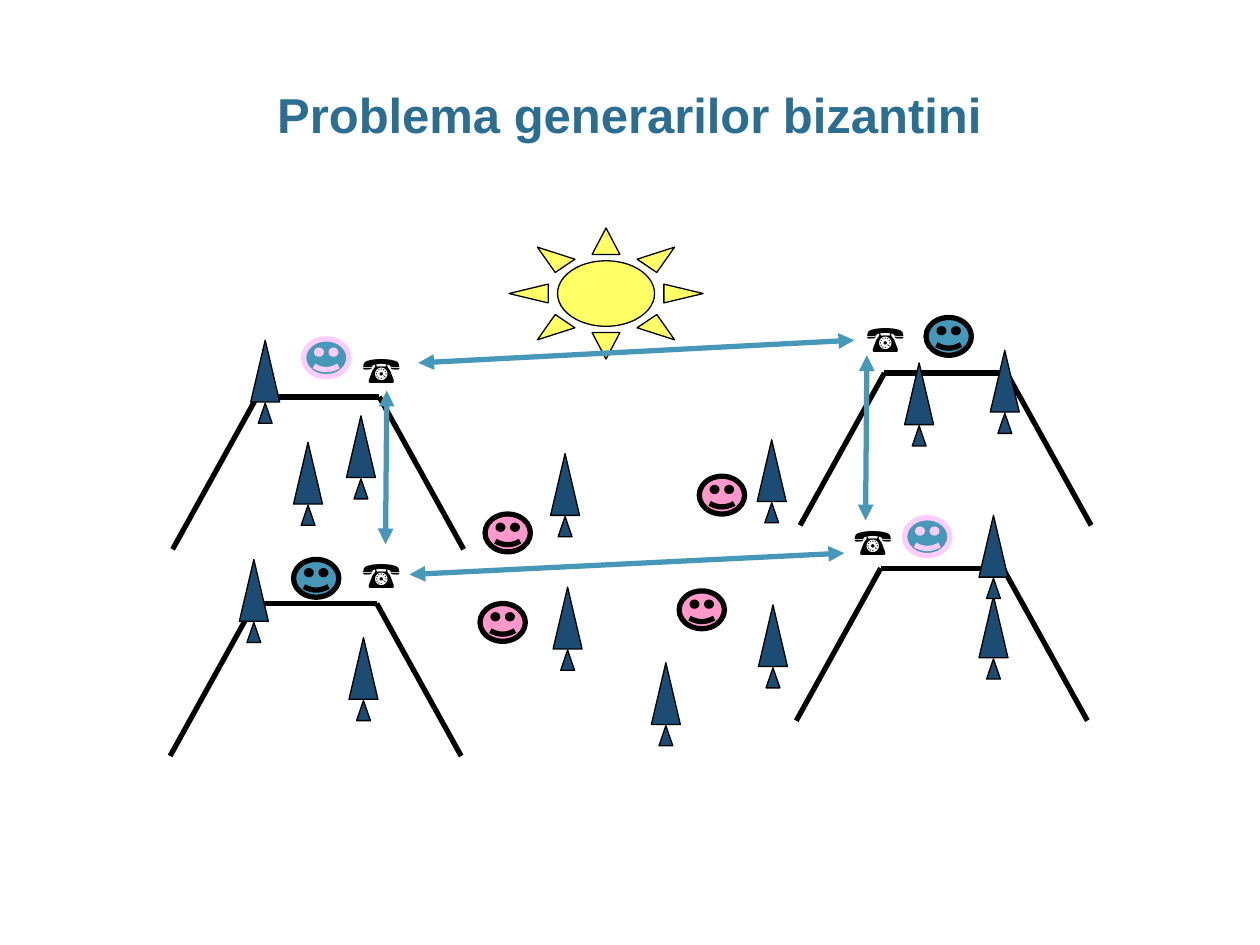
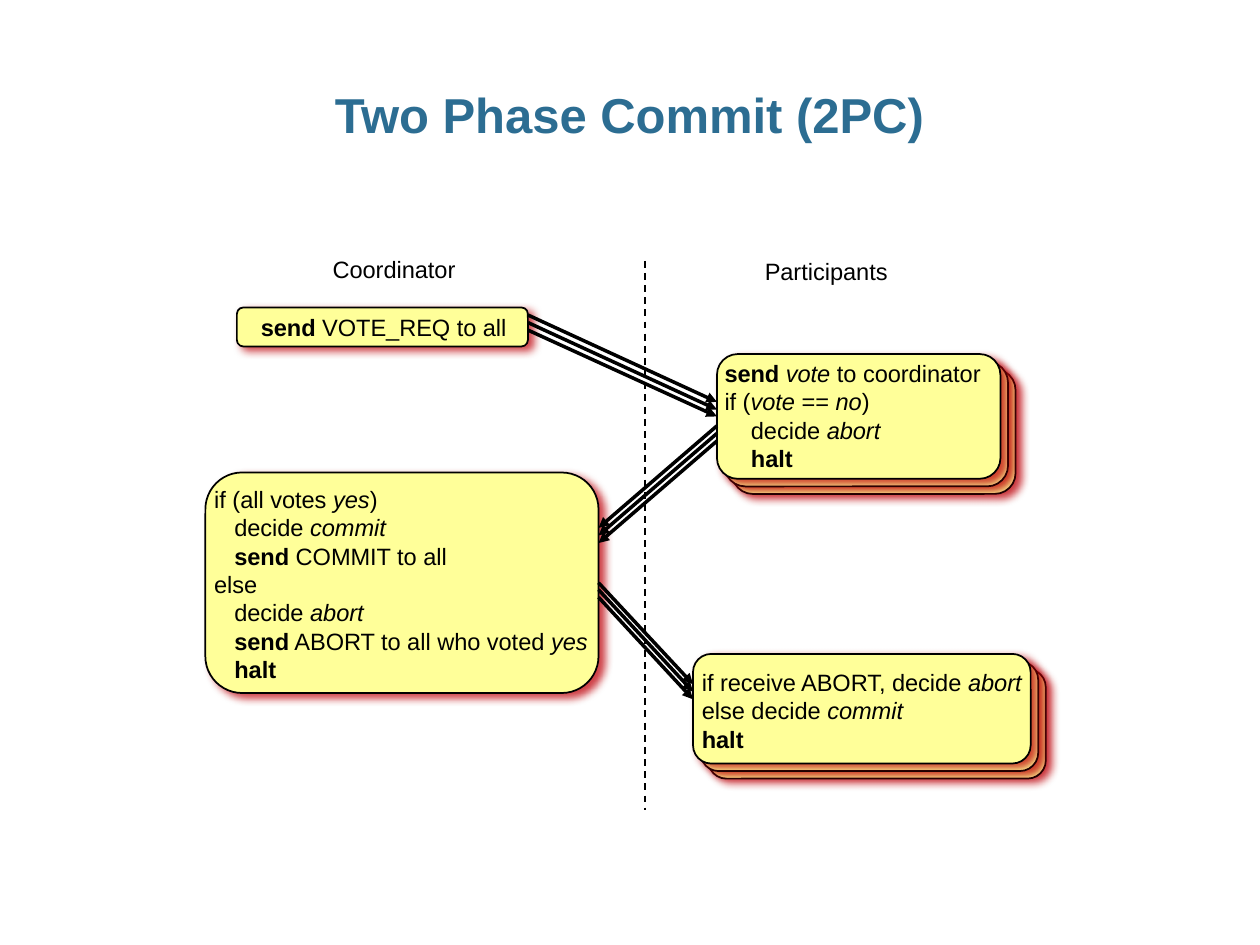
import pptx
import pptx.util
import pptx.dml.color
import pptx.enum.dml
import pptx.enum.shapes
import pptx.enum.text
import pptx.oxml.ns
from lxml import etree

Inches = pptx.util.Inches
Pt = pptx.util.Pt
Shape = pptx.enum.shapes.MSO_SHAPE
qn = pptx.oxml.ns.qn

BLACK = "000000"
TITLE_BLUE = "2C6D92"
SKY_BLUE = "4797B9"
TREE_BLUE = "1C4C74"
LILAC = "FFCCFF"
PINK = "FF99CC"
SUN_YELLOW = "FFFF66"
BOX_YELLOW = "FFFF99"
SHADOW_RED = "BE0009"


def paint(fill, colour):
    fill.solid()
    fill.fore_color.rgb = pptx.dml.color.RGBColor.from_string(colour)


def draw_line(page, start, end, colour, width, ends=(), dash=None):
    points = [Inches(value) for value in (*start, *end)]
    line = page.shapes.add_connector(pptx.enum.shapes.MSO_CONNECTOR.STRAIGHT, *points)
    paint(line.line.fill, colour)
    line.line.width = Pt(width)
    if dash:
        line.line.dash_style = dash
    properties = line._element.spPr
    for end_name in ends:
        etree.SubElement(properties.find(qn("a:ln")), qn(end_name), type="triangle")
    etree.SubElement(properties, qn("a:effectLst"))
    return line


deck = pptx.Presentation()
deck.slide_width, deck.slide_height = Inches(10), Inches(7.5)

# Pages and their titles
pages = []
for heading in ("Problema generarilor bizantini", "Two Phase Commit (2PC)"):
    page = deck.slides.add_slide(deck.slide_layouts[5])
    title = page.shapes.title
    title.left, title.top = Inches(0.34), Inches(0.68)
    title.width, title.height = Inches(9.31), Inches(0.5)
    frame = title.text_frame
    frame.auto_size = pptx.enum.text.MSO_AUTO_SIZE.NONE
    frame.margin_left = frame.margin_right = 0
    para = frame.paragraphs[0]
    para.alignment = pptx.enum.text.PP_ALIGN.CENTER
    para.line_spacing = 0.95
    span = para.add_run()
    span.text = heading
    span.font.name, span.font.size, span.font.bold = "Arial", Pt(28), True
    paint(span.font.fill, TITLE_BLUE)
    pages.append(page)
battlefield, protocol = pages

# Hills: a flat top with a slope on each side
for left, top in ((6.99, 4.51), (7.02, 2.96), (2.02, 4.79), (2.04, 3.15)):
    right, foot = left + 0.97, top + 1.21
    draw_line(battlefield, (left, top), (right, top), BLACK, 3)
    draw_line(battlefield, (right, top), (right + 0.67, foot), BLACK, 3)
    draw_line(battlefield, (left, top), (left - 0.67, foot), BLACK, 3)

# Generals, soldiers, sun and trees
figures = []
for left, top, fill, outline in (
    (2.41, 2.69, SKY_BLUE, LILAC),
    (2.33, 4.44, SKY_BLUE, BLACK),
    (7.35, 2.52, SKY_BLUE, BLACK),
    (7.18, 4.11, SKY_BLUE, LILAC),
    (5.55, 3.78, PINK, BLACK),
    (3.81, 4.79, PINK, BLACK),
    (5.39, 4.69, PINK, BLACK),
    (3.85, 4.08, PINK, BLACK),
):
    figures.append((Shape.SMILEY_FACE, left, top, 0.36, 0.3, fill, outline, 3))
figures.append((Shape.SUN, 4.04, 1.81, 1.54, 1.04, SUN_YELLOW, BLACK, 0.75))
for left, top in (
    (7.86, 2.78), (7.18, 2.88), (6.01, 3.49), (7.77, 4.73), (4.37, 3.6),
    (2.77, 5.06), (7.77, 4.09), (6.02, 4.8), (4.39, 4.66), (1.9, 4.44),
    (2.33, 3.51), (5.17, 5.26), (1.99, 2.7), (2.75, 3.3),
):
    for part_left, part_top, width, height in (
        (left, top, 0.23, 0.49),
        (left + 0.06, top + 0.5, 0.11, 0.16),
    ):
        figures.append((Shape.ISOSCELES_TRIANGLE, part_left, part_top, width, height,
                        TREE_BLUE, BLACK, 0.75))
for kind, left, top, width, height, fill, outline, weight in figures:
    figure = battlefield.shapes.add_shape(
        kind, Inches(left), Inches(top), Inches(width), Inches(height))
    figure.shadow.inherit = False
    paint(figure.fill, fill)
    paint(figure.line.fill, outline)
    figure.line.width = Pt(weight)

# Telephones
for left, top in ((2.78, 2.7), (6.78, 2.46), (6.68, 4.07), (2.78, 4.33)):
    box = battlefield.shapes.add_textbox(
        Inches(left), Inches(top), Inches(0.52), Inches(0.45))
    box.text_frame.word_wrap = False
    span = box.text_frame.paragraphs[0].add_run()
    span.text = "☎"
    span.font.name, span.font.size = "Times New Roman", Pt(21)
    paint(span.font.fill, BLACK)

# Calls between the generals
for start, end in (
    ((3.32, 2.88), (6.78, 2.7)),
    ((3.25, 4.56), (6.7, 4.39)),
    ((3.07, 3.1), (3.06, 4.32)),
    ((6.88, 2.82), (6.87, 4.13)),
):
    draw_line(battlefield, start, end, SKY_BLUE, 3, ("a:headEnd", "a:tailEnd"))

# Border between coordinator and participants
draw_line(protocol, (5.12, 2.07), (5.12, 6.43), BLACK, 1,
          dash=pptx.enum.dml.MSO_LINE.DASH)

# Step boxes, with a stack of three for the participants
STEP = 0.06
fronts = {}
for name, left, top, width, height, count in (
    ("request", 1.88, 2.44, 2.31, 0.31, 1),
    ("vote", 5.69, 2.81, 2.25, 0.99, 3),
    ("decision", 1.63, 3.75, 3.12, 1.75, 1),
    ("outcome", 5.5, 5.19, 2.68, 0.87, 3),
):
    for layer in reversed(range(count)):
        card = protocol.shapes.add_shape(
            Shape.ROUNDED_RECTANGLE, Inches(left + layer * STEP),
            Inches(top + layer * STEP), Inches(width), Inches(height))
        paint(card.fill, BOX_YELLOW)
        paint(card.line.fill, BLACK)
        card.line.width = Pt(1)
        card.shadow.inherit = False
        effects = card._element.spPr.find(qn("a:effectLst"))
        shadow = etree.SubElement(
            effects, qn("a:outerShdw"), blurRad=str(Pt(5)), dist=str(Pt(3.7)),
            dir=str(35 * 60000), algn="ctr", rotWithShape="0")
        tint = etree.SubElement(shadow, qn("a:srgbClr"), val=SHADOW_RED)
        etree.SubElement(tint, qn("a:alpha"), val="75000")
        fronts[name] = card

# Texts: each line is an indent and its runs, "b" for bold and "i" for italic
for left, top, width, height, wrap, lines in (
    (2, 2.44, 2.56, 0.3, True, [
        (0, [("send", "b"), (" VOTE_REQ to all", "")]),
    ]),
    (5.68, 2.81, 2.31, 0.98, True, [
        (0, [("send ", "b"), ("vote ", "i"), ("to coordinator", "")]),
        (0, [("if (", ""), ("vote ", "i"), ("== ", ""), ("no", "i"), (")", "")]),
        (0.21, [("decide ", ""), ("abort", "i")]),
        (0.21, [("halt", "b")]),
    ]),
    (1.63, 3.81, 3.18, 1.66, True, [
        (0, [("if (all votes ", ""), ("yes", "i"), (")", "")]),
        (0.16, [("decide ", ""), ("commit", "i")]),
        (0.16, [("send", "b"), (" COMMIT to all", "")]),
        (0, [("else", "")]),
        (0.16, [("decide ", ""), ("abort", "i")]),
        (0.16, [("send", "b"), (" ABORT to all who voted ", ""), ("yes", "i")]),
        (0.16, [("halt", "b")]),
    ]),
    (5.5, 5.26, 2.75, 0.76, True, [
        (0, [("if receive ABORT, decide ", ""), ("abort", "i")]),
        (0, [("else decide ", ""), ("commit", "i")]),
        (0, [("halt", "b")]),
    ]),
    (2.57, 1.98, 1.14, 0.3, False, [(0, [("Coordinator", "")])]),
    (6, 2, 1.14, 0.3, False, [(0, [("Participants", "")])]),
):
    box = protocol.shapes.add_textbox(
        Inches(left), Inches(top), Inches(width), Inches(height))
    frame = box.text_frame
    frame.word_wrap = wrap
    frame.margin_left = frame.margin_right = Inches(0.07)
    frame.margin_top = frame.margin_bottom = Inches(0.04)
    for number, (indent, runs) in enumerate(lines):
        para = frame.add_paragraph() if number else frame.paragraphs[0]
        if indent:
            para._p.get_or_add_pPr().set("marL", str(Inches(indent)))
        for words, style in runs:
            span = para.add_run()
            span.text = words
            span.font.name, span.font.size = "Arial", Pt(13.5)
            span.font.bold, span.font.italic = style == "b", style == "i"
            paint(span.font.fill, BLACK)

# Messages: three parallel arrows for each exchange
messages = {}
for name, start, end in (
    ("request", (4.19, 2.5), (5.69, 3.19)),
    ("vote", (5.69, 3.38), (4.75, 4.19)),
    ("decision", (4.75, 4.62), (5.5, 5.43)),
):
    messages[name] = [
        draw_line(protocol, (start[0], start[1] + copy * STEP),
                  (end[0], end[1] + copy * STEP), BLACK, 2, ("a:tailEnd",))
        for copy in range(3)
    ]
messages["request"][2].end_connect(fronts["vote"], 1)
messages["decision"][0].begin_connect(fronts["decision"], 3)

deck.save("out.pptx")
